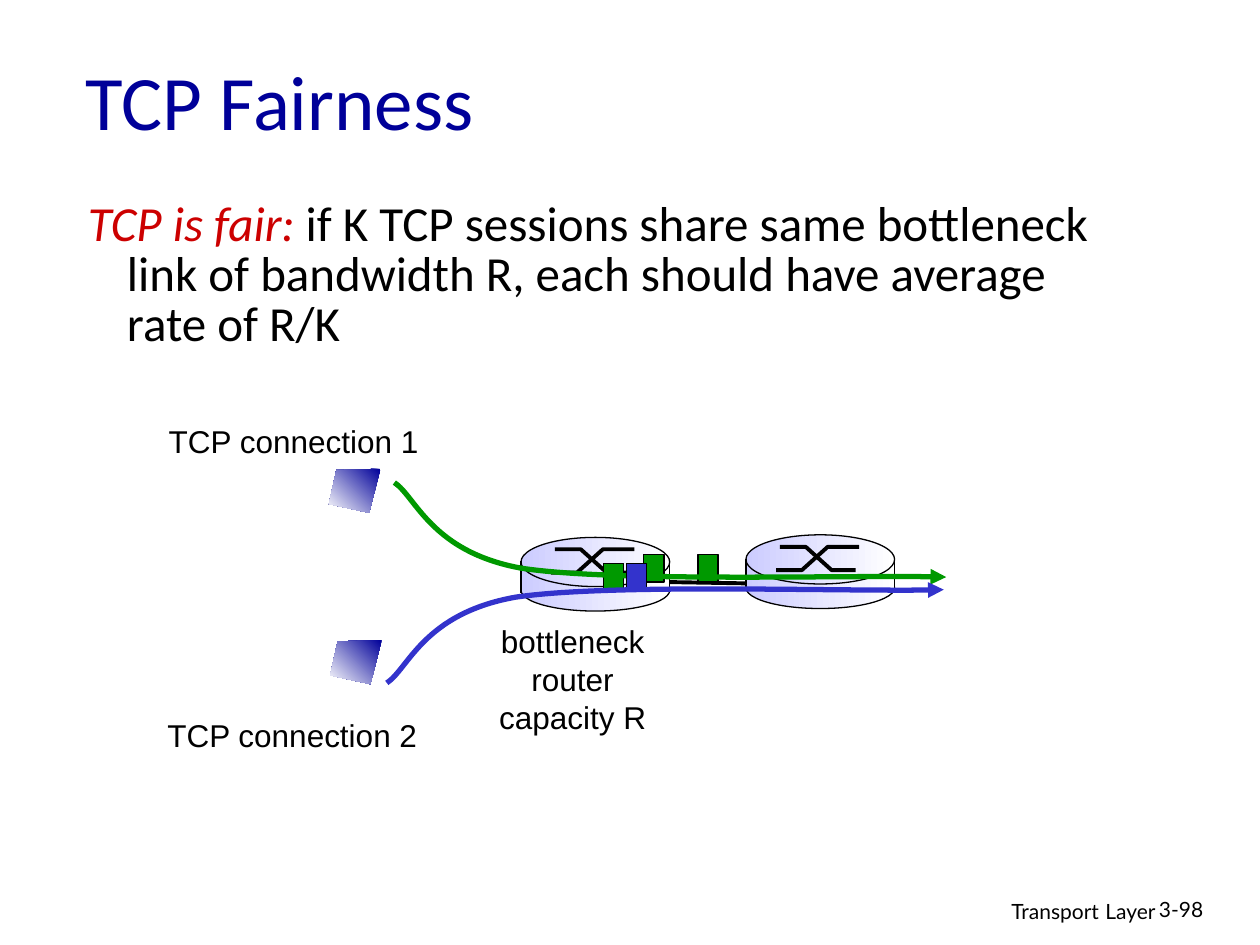
from dataclasses import dataclass

from lxml import etree
from pptx import Presentation, util as u
from pptx.dml.color import RGBColor
from pptx.enum import shapes as es, text as et
from pptx.oxml.ns import qn


@dataclass(frozen=True)
class Theme:
    ink: str = "000000"
    title: str = "000099"
    accent: str = "CC0000"
    flow1: str = "009900"
    flow2: str = "3333CC"
    router: tuple = ("CCCCFF", "FFFFFF")
    screen: tuple = ("000099", "FFFFFF")
    head_font: str = "Calibri"
    label_font: str = "Arial"
    foot_font: str = "Lato"
    title_pt: int = 44
    body_pt: int = 28
    label_pt: int = 18
    foot_pt: int = 12
    thin: float = 0.75
    medium: float = 2.25
    thick: float = 3


T = Theme()
COLS, ROWS = 100, 75


def g(n):
    """Length of n cells of the 100 x 75 slide grid."""
    return u.Inches(n / 10)


def rgb(code):
    return RGBColor.from_string(code)


def set_font(font, name, size, color):
    font.name, font.size, font.color.rgb = name, u.Pt(size), rgb(color)


def paint(sp, fill=None, line=None, width=T.thin, angle=0):
    """Fill with one colour, a pair as a gradient, or nothing; then outline."""
    sp.shadow.inherit = False
    if fill is None:
        sp.fill.background()
    elif isinstance(fill, tuple):
        sp.fill.gradient()
        sp.fill.gradient_angle = angle
        for stop, color in zip(sp.fill.gradient_stops, fill):
            stop.color.rgb = rgb(color)
    else:
        sp.fill.solid()
        sp.fill.fore_color.rgb = rgb(fill)
    if line is None:
        sp.line.fill.background()
    else:
        sp.line.color.rgb, sp.line.width = rgb(line), u.Pt(width)


def add_block(parent, kind, x, y, w, h, fill, line=None):
    paint(parent.add_shape(kind, g(x), g(y), g(w), g(h)), fill, line)


def add_line(parent, x1, y1, x2, y2, width):
    cx = parent.add_connector(es.MSO_CONNECTOR.STRAIGHT, g(x1), g(y1), g(x2), g(y2))
    cx.line.color.rgb, cx.line.width = rgb(T.ink), u.Pt(width)
    etree.SubElement(cx._element.spPr, qn("a:effectLst"))


def add_outline(parent, points, close=False):
    (x, y), *rest = [(g(a), g(b)) for a, b in points]
    fb = parent.build_freeform(x, y)
    fb.add_line_segments(rest, close=close)
    return fb.convert_to_shape()


def add_flow(parent, points, color):
    """Arrow along cubic curves: a start, then three points per curve."""
    sp = add_outline(parent, points)
    paint(sp, line=color, width=T.thick)
    spPr = sp._element.spPr
    segments = list(spPr.iter(qn("a:lnTo")))
    for i in range(0, len(segments), 3):
        curve = etree.Element(qn("a:cubicBezTo"))
        segments[i].addprevious(curve)
        for seg in segments[i:i + 3]:
            curve.append(seg[0])
            seg.getparent().remove(seg)
    etree.SubElement(spPr.find(qn("a:ln")), qn("a:tailEnd"), type="triangle")


def add_text(s, x, y, w, h, lines, font, size, align=et.PP_ALIGN.LEFT, wrap=True):
    tf = s.shapes.add_textbox(g(x), g(y), g(w), g(h)).text_frame
    tf.word_wrap = wrap
    for i, line in enumerate(lines):
        p = tf.paragraphs[0] if i == 0 else tf.add_paragraph()
        p.alignment = align
        for part in line if isinstance(line, tuple) else (line,):
            p.add_run().text = part
        set_font(p.font, font, size, T.ink)
    return tf.paragraphs[0]


def add_label(s, x, y, w, h, *lines, align=et.PP_ALIGN.LEFT):
    add_text(s, x, y, w, h, lines, T.label_font, T.label_pt, align, wrap=False)


def add_title(s, words):
    sp = s.shapes.title
    sp.left, sp.top, sp.width, sp.height = g(5.8), g(1.7), g(85), g(12.5)
    tf = sp.text_frame
    tf.auto_size = et.MSO_AUTO_SIZE.NONE
    tf.vertical_anchor = et.MSO_ANCHOR.MIDDLE
    p = tf.paragraphs[0]
    p.add_run().text = words
    p.alignment = et.PP_ALIGN.LEFT
    set_font(p.font, T.head_font, T.title_pt, T.title)


def add_body(s, lead, rest):
    p = add_text(s, 6, 15.5, 83.3, 24, [(lead, rest)], T.head_font, T.body_pt)
    p.line_spacing = 0.85
    pPr = p._p.get_or_add_pPr()
    pPr.set("marL", str(g(3.1)))
    pPr.set("indent", str(-g(3.1)))
    p.runs[0].font.italic = True
    p.runs[0].font.color.rgb = rgb(T.accent)


def add_router(s, x, y):
    """Disc with a crossed-path symbol; x, y is the top left corner."""
    w = 11.8
    grp = s.shapes.add_group_shape().shapes
    oval, rect = es.MSO_SHAPE.OVAL, es.MSO_SHAPE.RECTANGLE
    add_block(grp, oval, x, y + 2.55, w, 3.3, T.router, T.ink)
    add_block(grp, rect, x, y + 2.25, w, 2, T.router)
    add_block(grp, oval, x, y, w, 3.9, T.router, T.ink)
    low, high = y + 2.8, y + 0.95
    for left, offsets, a, b in ((2.4, (0, 2.05, 4.1, 6.6), low, high),
                                (2.7, (0, 2.05, 4.1, 6), high, low)):
        points = [(x + left + dx, py) for dx, py in zip(offsets, (a, a, b, b))]
        paint(add_outline(grp, points), line=T.ink, width=T.medium)
    for side in (x, x + w):
        add_line(grp, side, y + 1.9, side, y + 4.4, T.thin)


def add_screen(s, x, y):
    points = [(x + dx, y + dy) for dx, dy in ((4.1, 0), (0.6, 0.1), (0, 2.8), (3.2, 3.5))]
    paint(add_outline(s.shapes, points, close=True), T.screen, angle=225)


def add_packet(s, x, y, color):
    add_block(s.shapes, es.MSO_SHAPE.RECTANGLE, x, y, 1.6, 2.2, color, T.ink)


def add_footer(s):
    p = add_text(s, 61, 70.5, 31.7, 3.1, [("Transport", " ", "Layer")],
                 T.foot_font, T.foot_pt, et.PP_ALIGN.RIGHT)
    p.runs[1].font.size = u.Pt(14)
    add_text(s, 91, 70.7, 7.4, 3, ["3-98"], T.foot_font, T.foot_pt)


def main():
    prs = Presentation()
    prs.slide_width, prs.slide_height = g(COLS), g(ROWS)
    s = prs.slides.add_slide(prs.slide_layouts[5])
    add_title(s, "TCP Fairness")
    add_body(s, "TCP is fair:", " if K TCP sessions share same bottleneck link of "
                                "bandwidth R, each should have average rate of R/K")
    add_footer(s)

    add_line(s.shapes, 53.1, 46.2, 59.2, 46.3, T.medium)
    add_router(s, 41.35, 42.65)
    add_router(s, 59.2, 42.45)
    for x, y in ((55.4, 44), (47.9, 44.7), (51.1, 44)):
        add_packet(s, x, y, T.flow1)
    add_flow(s.shapes, [(31.3, 38.3), (33, 39.4), (34.2, 43.8), (41.4, 45.1),
                        (48.7, 46.2), (68.1, 45.6), (75.1, 45.8)], T.flow1)
    add_packet(s, 49.7, 44.7, T.flow2)
    add_flow(s.shapes, [(30.7, 54.2), (32.4, 53.1), (33.6, 48.7), (40.9, 47.4),
                        (48.3, 46.3), (67.9, 47), (74.9, 46.8)], T.flow2)
    add_screen(s, 26.1, 37.2)
    add_screen(s, 26.2, 50.8)

    add_label(s, 12.4, 33, 21.9, 4, "TCP connection 1")
    add_label(s, 12.3, 56.3, 21.9, 4, "TCP connection 2")
    add_label(s, 38.6, 48.9, 13.7, 10, "bottleneck", "router", "capacity R",
              align=et.PP_ALIGN.CENTER)
    prs.save("out.pptx")


if __name__ == "__main__":
    main()
